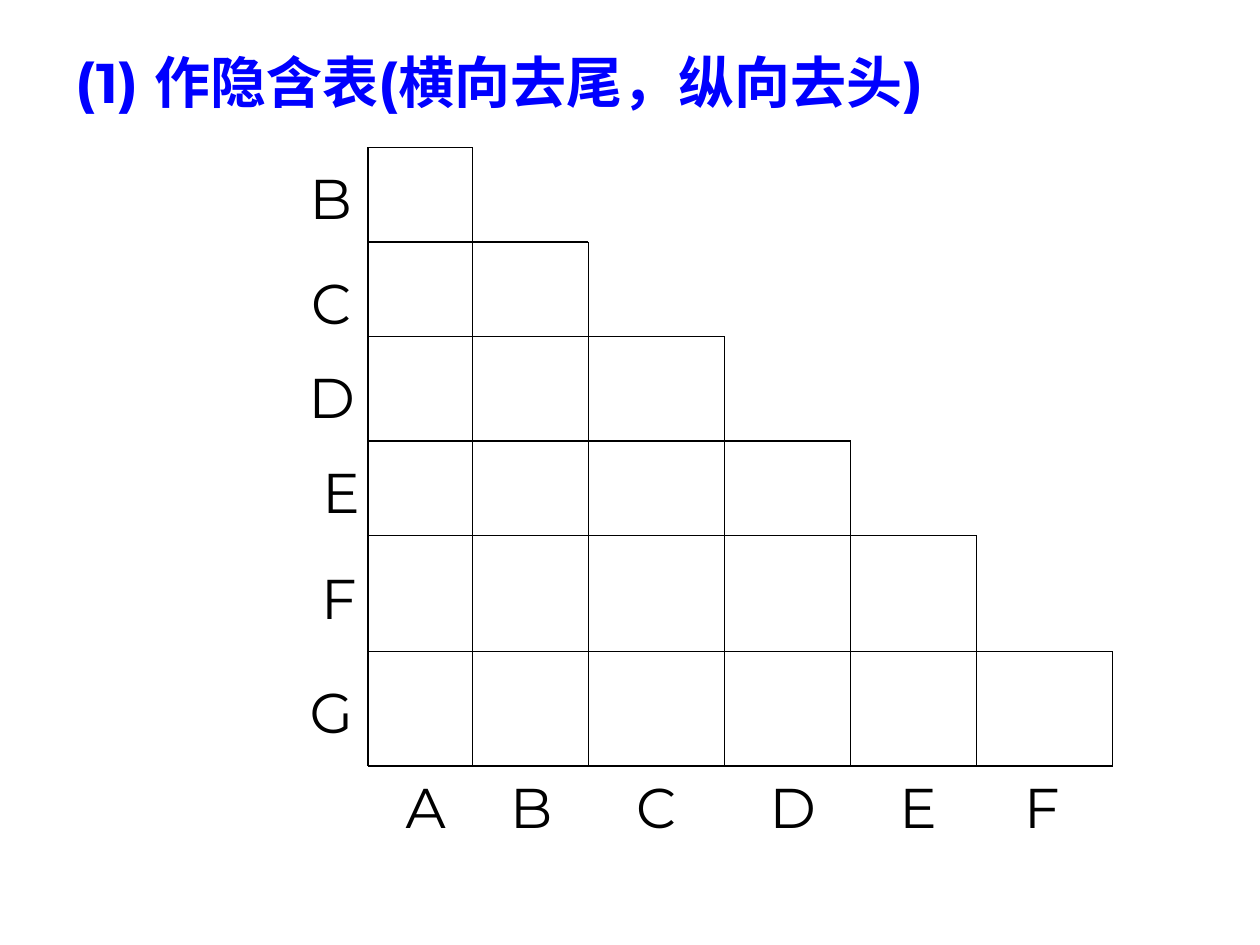
"""Build the implication table slide: a staircase grid with row and column letters."""
from dataclasses import dataclass

from lxml import etree
from pptx import Presentation
from pptx.dml.color import RGBColor
from pptx.enum.shapes import MSO_CONNECTOR
from pptx.enum.text import MSO_ANCHOR, MSO_AUTO_SIZE, PP_ALIGN
from pptx.oxml.ns import qn
from pptx.slide import Slide
from pptx.text.text import _Paragraph
from pptx.util import Inches, Pt

STRAIGHT = MSO_CONNECTOR.STRAIGHT
TOP = MSO_ANCHOR.TOP
FIT_SHAPE = MSO_AUTO_SIZE.SHAPE_TO_FIT_TEXT
FIT_NONE = MSO_AUTO_SIZE.NONE
LEFT = PP_ALIGN.LEFT


@dataclass(frozen=True)
class Theme:
    """Colours, font and sizes shared by the slide."""
    font: str = "Montserrat"
    size: float = 32
    heading: RGBColor = RGBColor(0x00, 0x00, 0xFF)
    ink: RGBColor = RGBColor(0x00, 0x00, 0x00)
    rule_width: float = 0.75


@dataclass(frozen=True)
class StateLabel:
    """A state letter and the top left corner of its box."""
    state: str
    left: float
    top: float


THEME = Theme()
HEADING = "(1) 作隐含表(横向去尾，纵向去头)"
COLUMN_EDGES = [2.92, 3.75, 4.67, 5.75, 6.75, 7.75, 8.83]
ROW_EDGES = [1.17, 1.92, 2.67, 3.5, 4.25, 5.17, 6.08]
COLUMN_LEFTS = [3.12, 3.95, 4.95, 6.01, 7.04, 8.03]
ROW_LEFTS = [2.36, 2.37, 2.35, 2.46, 2.45, 2.36]
ROW_TOPS = [1.25, 2.08, 2.83, 3.58, 4.42, 5.33]
LETTER_WIDTHS = {"A": 0.48, "B": 0.49, "C": 0.48, "D": 0.52, "E": 0.44, "F": 0.43, "G": 0.52}
LABEL_HEIGHT = 0.64
HANGING_INDENT = 0.38

LABELS = [
    *(StateLabel(state, left, ROW_EDGES[-1]) for state, left in zip("ABCDEF", COLUMN_LEFTS)),
    *(StateLabel(*row) for row in zip("BCDEFG", ROW_LEFTS, ROW_TOPS)),
]


def add_text(paragraph: _Paragraph, text: str, color: RGBColor, bold: bool = False) -> None:
    """Add one formatted run to a paragraph."""
    run = paragraph.add_run()
    run.text = text
    run.font.name = THEME.font
    run.font.size = Pt(THEME.size)
    run.font.bold = bold
    run.font.color.rgb = color


def add_heading(slide: Slide) -> None:
    """Fill the body placeholder with the step heading."""
    title = slide.shapes.title.element
    title.getparent().remove(title)
    body = slide.placeholders[1]
    body.left, body.top = Inches(0.5), Inches(0.33)
    body.width, body.height = Inches(8.58), Inches(6.42)
    frame = body.text_frame
    frame.auto_size = FIT_NONE
    frame.vertical_anchor = TOP
    paragraph = frame.paragraphs[0]
    properties = paragraph._p.get_or_add_pPr()
    properties.set("marL", str(Inches(HANGING_INDENT)))
    properties.set("indent", str(-Inches(HANGING_INDENT)))
    etree.SubElement(properties, qn("a:buNone"))
    paragraph.space_before = Pt(0)
    add_text(paragraph, HEADING, THEME.heading, bold=True)


def add_rule(slide: Slide, x1: float, y1: float, x2: float, y2: float) -> None:
    """Draw one grid line."""
    rule = slide.shapes.add_connector(STRAIGHT, Inches(x1), Inches(y1), Inches(x2), Inches(y2))
    rule.line.color.rgb = THEME.ink
    rule.line.width = Pt(THEME.rule_width)
    etree.SubElement(rule.element.spPr, qn("a:effectLst"))


def add_staircase(slide: Slide) -> None:
    """Draw the staircase, each row one cell longer than the row above."""
    left, bottom = COLUMN_EDGES[0], ROW_EDGES[-1]
    add_rule(slide, left, ROW_EDGES[0], left, bottom)
    add_rule(slide, left, bottom, COLUMN_EDGES[-1], bottom)
    for right, top in zip(COLUMN_EDGES[1:], ROW_EDGES):
        add_rule(slide, left, top, right, top)
        add_rule(slide, right, top, right, bottom)


def add_label(slide: Slide, label: StateLabel) -> None:
    """Write one state letter beside the grid."""
    box = slide.shapes.add_textbox(Inches(label.left), Inches(label.top),
                                   Inches(LETTER_WIDTHS[label.state]), Inches(LABEL_HEIGHT))
    frame = box.text_frame
    frame.word_wrap = False
    frame.auto_size = FIT_SHAPE
    paragraph = frame.paragraphs[0]
    paragraph.alignment = LEFT
    add_text(paragraph, label.state, THEME.ink)


def main() -> None:
    """Assemble and save the slide."""
    deck = Presentation()
    deck.slide_width, deck.slide_height = Inches(10), Inches(7.5)
    slide = deck.slides.add_slide(deck.slide_layouts[1])
    add_heading(slide)
    add_staircase(slide)
    for label in LABELS:
        add_label(slide, label)
    deck.save("out.pptx")


if __name__ == "__main__":
    main()
